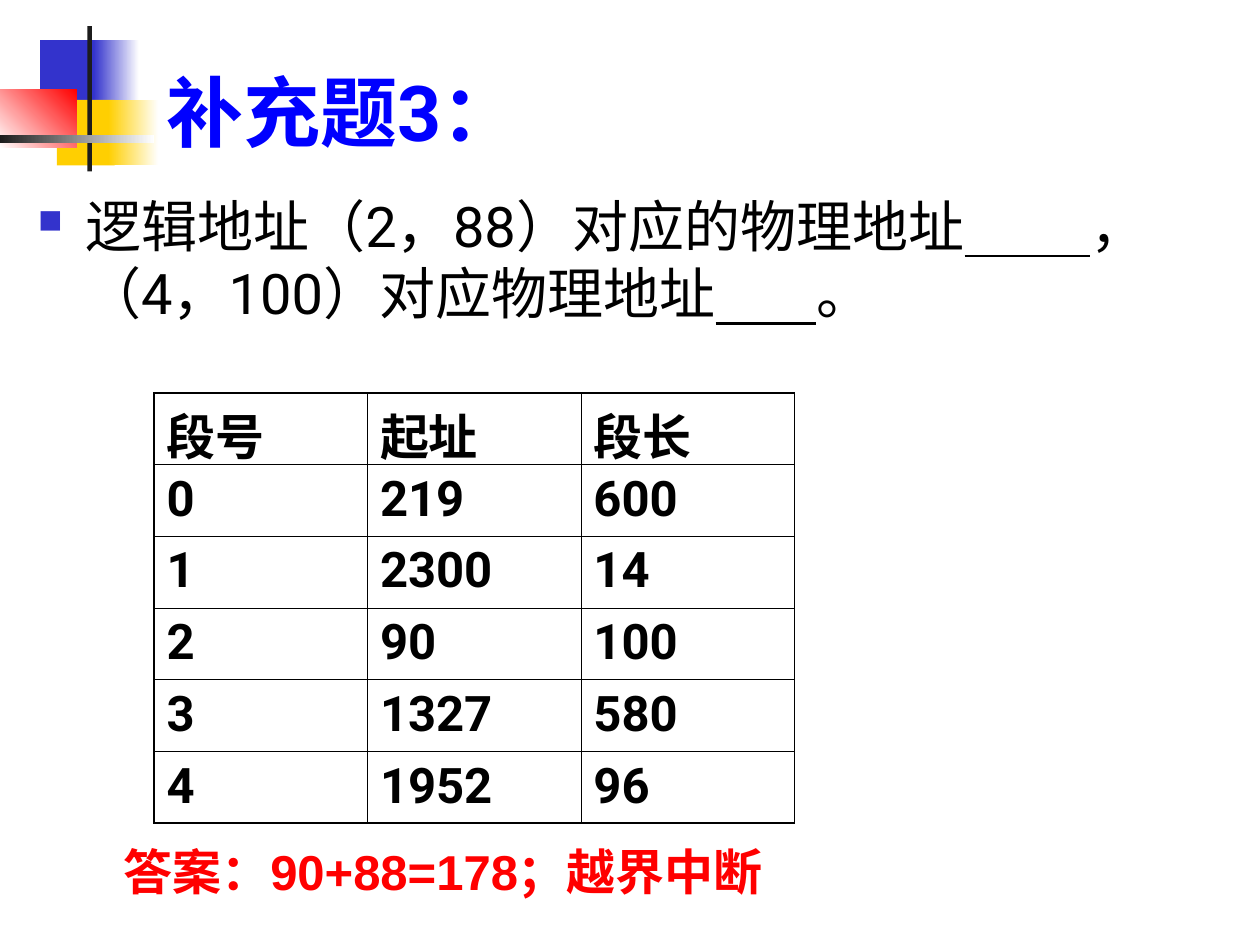
from lxml.etree import SubElement
from pptx import Presentation
from pptx.dml.color import RGBColor
from pptx.enum.shapes import MSO_SHAPE
from pptx.enum.text import MSO_ANCHOR, MSO_AUTO_SIZE, PP_ALIGN
from pptx.oxml.ns import qn
from pptx.util import Pt

BLACK, WHITE, BLUE, INDIGO = "000000", "FFFFFF", "0000FF", "3333CC"
GOLD, RED, CHARCOAL = "FFCF01", "FF0000", "1C1C1C"

TITLE_FONT = {"name": "Roboto", "size": Pt(44), "bold": True}
QUESTION_FONT = {"name": "Roboto", "size": Pt(32)}
CELL_FONT = {"name": "Roboto", "size": Pt(28), "bold": True}
ANSWER_FONT = {"name": "Arial", "size": Pt(28), "bold": True}

# left, top, width, height, colours, gradient angle
ORNAMENT = [
    (23, 23, 34.5, 37.5, [INDIGO], 0),
    (53.5, 23, 26, 37.5, [INDIGO, WHITE], 0),
    (32.5, 57, 33, 37.5, [GOLD], 0),
    (62, 57, 28.5, 37.5, [GOLD, WHITE], 0),
    (0, 51, 44, 33.5, [WHITE, RED], 45),
    (50, 15, 2.5, 83, [CHARCOAL], 0),
    (0, 77, 88, 4.5, [CHARCOAL, WHITE], 0),
]

SEGMENTS = [
    ("段号", "起址", "段长"),
    ("0", "219", "600"),
    ("1", "2300", "14"),
    ("2", "90", "100"),
    ("3", "1327", "580"),
    ("4", "1952", "96"),
]

# Each piece of the question and whether it is an underlined blank
QUESTION = [
    ("逻辑地址（2，88）对应的物理地址", False),
    (" " * 10, True),
    ("，（4，100）对应物理地址", False),
    (" " * 8, True),
    ("。", False),
]


def rgb(value):
    return RGBColor.from_string(value)


def apply(target, values):
    for name, value in values.items():
        setattr(target, name, value)


def style(font, values, color):
    apply(font, values)
    font.color.rgb = rgb(color)


def place(box):
    return dict(zip(("left", "top", "width", "height"), map(Pt, box)))


def add_ornament(slide, x, y):
    group = slide.shapes.add_group_shape()
    for left, top, width, height, colors, angle in ORNAMENT:
        block = group.shapes.add_shape(
            MSO_SHAPE.RECTANGLE, **place((x + left, y + top, width, height)))
        block.shadow.inherit = False
        block.line.fill.background()
        if len(colors) == 1:
            block.fill.solid()
            block.fill.fore_color.rgb = rgb(colors[0])
        else:
            block.fill.gradient()
            block.fill.gradient_angle = angle
            for stop, color in zip(block.fill.gradient_stops, colors):
                stop.color.rgb = rgb(color)


def add_title(slide, box):
    title = slide.shapes.title
    apply(title, place(box))
    frame = title.text_frame
    apply(frame, {"text": "补充题3：", "vertical_anchor": MSO_ANCHOR.BOTTOM,
                  "auto_size": MSO_AUTO_SIZE.NONE, "word_wrap": True})
    frame.paragraphs[0].alignment = PP_ALIGN.LEFT
    style(frame.paragraphs[0].runs[0].font, TITLE_FONT, BLUE)


def add_bullet(paragraph, indent, color):
    properties = paragraph._p.get_or_add_pPr()
    properties.set("marL", str(Pt(indent)))
    properties.set("indent", str(-Pt(indent)))
    bullet_color = SubElement(properties, qn("a:buClr"))
    SubElement(bullet_color, qn("a:srgbClr"), val=color)
    SubElement(properties, qn("a:buSzPct"), val="60000")
    SubElement(properties, qn("a:buChar"), char="■")


def add_question(slide, box):
    frame = slide.shapes.add_textbox(**place(box)).text_frame
    frame.word_wrap = True
    paragraph = frame.paragraphs[0]
    add_bullet(paragraph, 27, INDIGO)
    for text, is_blank in QUESTION:
        run = paragraph.add_run()
        run.text = text
        style(run.font, QUESTION_FONT | {"underline": is_blank}, BLACK)


def add_borders(cell, widths):
    properties = cell._tc.get_or_add_tcPr()
    for position, (side, width) in enumerate(widths.items()):
        border = properties.makeelement(qn(f"a:{side}"), {"w": str(Pt(width))})
        fill = SubElement(border, qn("a:solidFill"))
        SubElement(fill, qn("a:srgbClr"), val=BLACK)
        properties.insert(position, border)


def add_segment_table(slide, box):
    rows, columns = len(SEGMENTS), len(SEGMENTS[0])
    table = slide.shapes.add_table(rows, columns, **place(box)).table
    apply(table, {"first_row": False, "horz_banding": False})
    outer, inner = 1.08, 0.45
    for r, values in enumerate(SEGMENTS):
        for c, value in enumerate(values):
            cell = table.cell(r, c)
            cell.text = value
            cell.fill.background()
            style(cell.text_frame.paragraphs[0].runs[0].font, CELL_FONT, BLACK)
            add_borders(cell, {
                "lnL": outer if c == 0 else inner,
                "lnR": outer if c == columns - 1 else inner,
                "lnT": outer if r == 0 else inner,
                "lnB": outer if r == rows - 1 else inner,
            })


def add_answer(slide, box):
    frame = slide.shapes.add_textbox(**place(box)).text_frame
    apply(frame, {"text": "答案：90+88=178；越界中断", "word_wrap": False,
                  "auto_size": MSO_AUTO_SIZE.SHAPE_TO_FIT_TEXT})
    style(frame.paragraphs[0].runs[0].font, ANSWER_FONT, RED)


def main():
    deck = Presentation()
    apply(deck, {"slide_width": Pt(720), "slide_height": Pt(540)})
    slide = deck.slides.add_slide(deck.slide_layouts[5])
    add_ornament(slide, 0, 0)
    add_title(slide, (88, 32, 613.5, 61))
    add_question(slide, (14.5, 106, 686, 91))
    add_segment_table(slide, (88, 224.5, 366, 246))
    add_answer(slide, (63.5, 477.5, 393, 41))
    deck.save("out.pptx")


if __name__ == "__main__":
    main()
